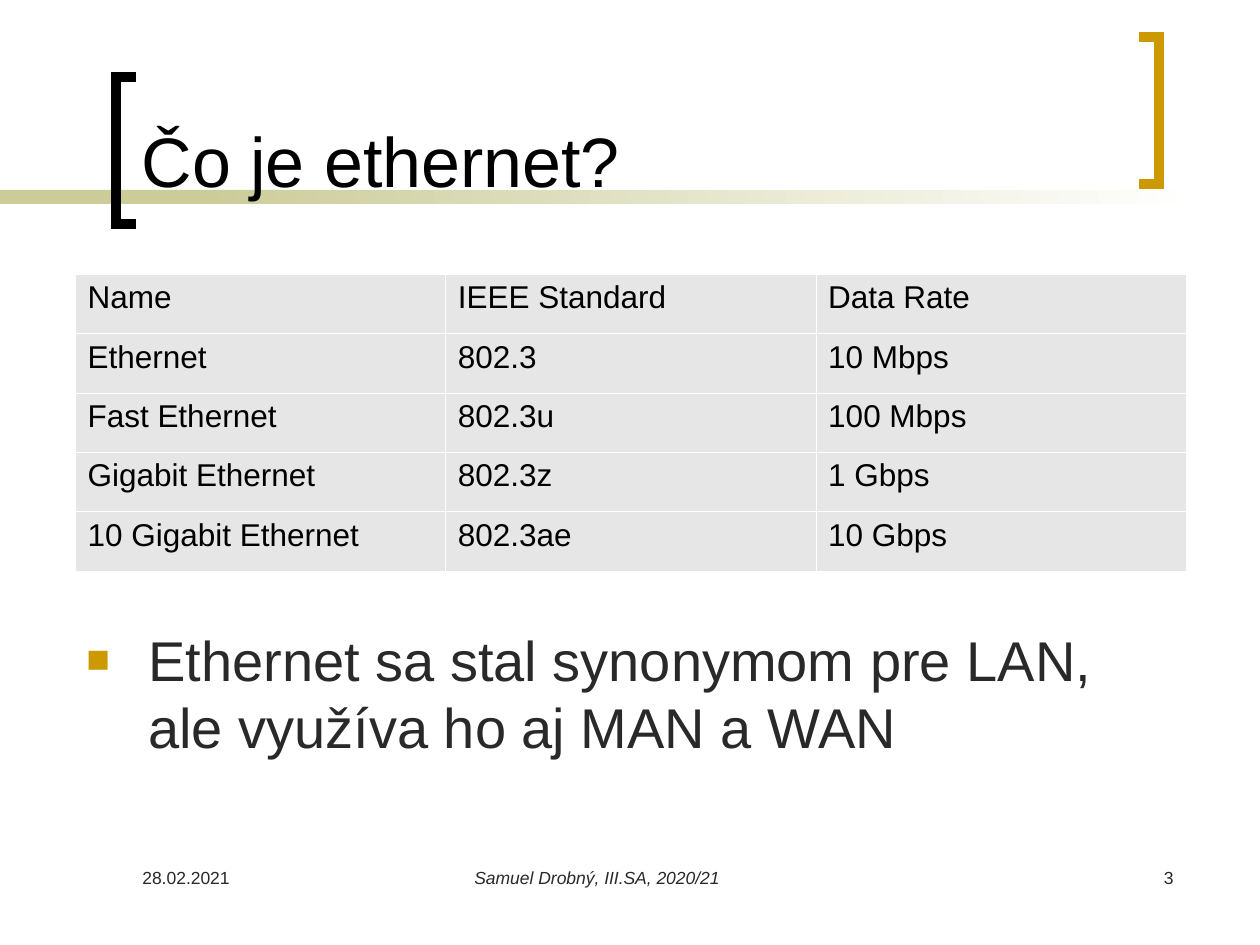
from lxml import etree
from pptx import Presentation
from pptx.dml.color import RGBColor
from pptx.enum.shapes import MSO_SHAPE
from pptx.enum.text import MSO_ANCHOR, MSO_AUTO_SIZE, PP_ALIGN
from pptx.oxml.ns import qn
from pptx.util import Pt

RECTANGLE = MSO_SHAPE.RECTANGLE
TOP, BOTTOM = MSO_ANCHOR.TOP, MSO_ANCHOR.BOTTOM
LEFT, RIGHT = PP_ALIGN.LEFT, PP_ALIGN.RIGHT
NO_FIT = MSO_AUTO_SIZE.NONE
PX = 914400 / 126

THEME = {
    "font": "Arial",
    "black": "000000",
    "text": "292929",
    "gold": "CC9900",
    "olive": "CCCC99",
    "white": "FFFFFF",
    "cell": "E6E6E6",
    "title_size": 40,
    "body_size": 32,
    "table_size": 18,
    "footer_size": 10,
}


def px(*lengths):
    """Turn pixel lengths into a list of EMU."""
    return [round(length * PX) for length in lengths]


def write(frame, text, size, color, align=LEFT, anchor=TOP, italic=False):
    """Put one formatted paragraph into a text frame and return it."""
    frame.word_wrap = True
    frame.vertical_anchor = anchor
    paragraph = frame.paragraphs[0]
    paragraph.alignment = align
    run = paragraph.add_run()
    run.text = text
    looks = {"name": THEME["font"], "size": Pt(THEME[size]), "bold": False, "italic": italic}
    for key, value in looks.items():
        setattr(run.font, key, value)
    run.font.color.rgb = RGBColor.from_string(THEME[color])
    return paragraph


prs = Presentation()
prs.slide_width, prs.slide_height = px(1260, 945)
slide = prs.slides.add_slide(prs.slide_layouts[5])
shapes = slide.shapes

# Rule under the title: a solid part, then a fade to white
solid_rule = shapes.add_shape(RECTANGLE, *px(0, 190, 294, 14))
solid_rule.fill.solid()
solid_rule.fill.fore_color.rgb = RGBColor.from_string(THEME["olive"])
fading_rule = shapes.add_shape(RECTANGLE, *px(199, 190, 998, 14))
fading_rule.fill.gradient()
fading_rule.fill.gradient_angle = 0
for stop, color in zip(fading_rule.fill.gradient_stops, ("olive", "white")):
    stop.color.rgb = RGBColor.from_string(THEME[color])
for rule in (solid_rule, fading_rule):
    rule.line.fill.background()
    rule.shadow.inherit = False

# Brackets around the title: tips, spine, top
BRACKET_HEIGHT = 147
for tip, spine, top, color in ((136, 116, 77, "black"), (1139, 1159, 37, "gold")):
    bottom = top + BRACKET_HEIGHT
    outline = shapes.build_freeform(tip, top, scale=PX)
    outline.add_line_segments([(spine, top), (spine, bottom), (tip, bottom)], close=False)
    bracket = outline.convert_to_shape()
    bracket.fill.background()
    bracket.shadow.inherit = False
    bracket.line.color.rgb = RGBColor.from_string(THEME[color])
    bracket.line.width = Pt(6)
    stroke = bracket.element.find(".//" + qn("a:ln"))
    etree.SubElement(stroke, qn("a:miter"), lim="800000")

# Title, in front of the rule
title = shapes.title
title.left, title.top, title.width, title.height = px(129, 14, 987, 194)
title.text_frame.auto_size = NO_FIT
write(title.text_frame, "Čo je ethernet?", "title_size", "black", anchor=BOTTOM)
title.element.getparent().append(title.element)

# Footer
for left, width, text, align, italic in (
    (130, 262, "28.02.2021", LEFT, False),
    (462, 399, "Samuel Drobný, III.SA, 2020/21", LEFT, True),
    (924, 262, "3", RIGHT, False),
):
    footer = shapes.add_textbox(*px(left, 861, width, 63))
    write(footer.text_frame, text, "footer_size", "text", align, italic=italic)

# Table of standards
STANDARDS = (
    ("Name", "IEEE Standard", "Data Rate"),
    ("Ethernet", "802.3", "10 Mbps"),
    ("Fast Ethernet", "802.3u", "100 Mbps"),
    ("Gigabit Ethernet", "802.3z", "1 Gbps"),
    ("10 Gigabit Ethernet", "802.3ae", "10 Gbps"),
)
table = shapes.add_table(len(STANDARDS), len(STANDARDS[0]), *px(75, 274, 1111, 297)).table
table.first_row = table.horz_banding = False
for row, texts in enumerate(STANDARDS):
    for column, text in enumerate(texts):
        cell = table.cell(row, column)
        write(cell.text_frame, text, "table_size", "black")
        cell.fill.solid()
        cell.fill.fore_color.rgb = RGBColor.from_string(THEME["cell"])
        properties = cell.fill.fore_color and cell._tc.get_or_add_tcPr()
        for index, side in enumerate(("lnL", "lnR", "lnT", "lnB")):
            border = etree.Element(qn("a:" + side), w="762")
            paint = etree.SubElement(border, qn("a:solidFill"))
            etree.SubElement(paint, qn("a:srgbClr"), val=THEME["white"])
            properties.insert(index, border)

# Bullet statement
statement = shapes.add_textbox(*px(74, 619, 1116, 150))
bullet = write(statement.text_frame,
               "Ethernet sa stal synonymom pre LAN, ale využíva ho aj MAN a WAN",
               "body_size", "text")
bullet.space_before = Pt(6.4)
settings = bullet._p.get_or_add_pPr()
indent = px(62)[0]
settings.set("marL", str(indent))
settings.set("indent", str(-indent))
bullet_color = etree.SubElement(settings, qn("a:buClr"))
etree.SubElement(bullet_color, qn("a:srgbClr"), val=THEME["gold"])
for tag, key, value in (
    ("a:buSzPct", "val", "70000"),
    ("a:buFont", "typeface", THEME["font"]),
    ("a:buChar", "char", "■"),
):
    etree.SubElement(settings, qn(tag), {key: value})

prs.save("out.pptx")
